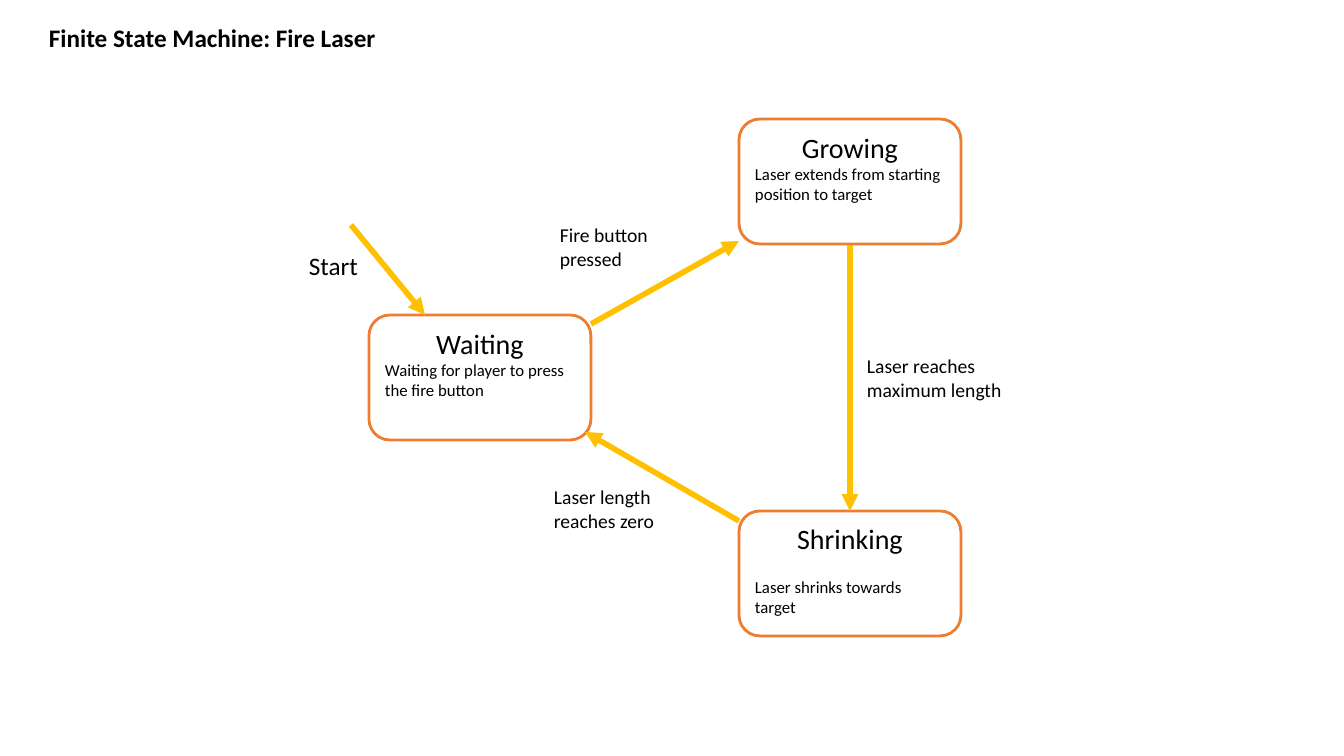
from pptx import Presentation
from pptx.dml.color import RGBColor
from pptx.enum.shapes import MSO_CONNECTOR, MSO_SHAPE
from pptx.enum.text import MSO_ANCHOR, MSO_AUTO_SIZE, PP_ALIGN
from pptx.oxml.ns import qn
from pptx.util import Emu, Pt
from lxml.etree import SubElement


class Theme:
    font = "Calibri"
    ink = RGBColor(0, 0, 0)
    paper = RGBColor(255, 255, 255)
    edge = RGBColor(0xED, 0x7D, 0x31)
    arrow = RGBColor(0xFF, 0xC0, 0x00)
    title, name, start, label, note = 18, 20, 18, 14, 12
    rim, stroke = 2, 4


# Content: states as name, note, column, row, gap above the note in points
STATES = [
    ("Waiting", "Waiting for player to press the fire button", 0, 1, 0),
    ("Growing", "Laser extends from starting position to target", 1, 0, 0),
    ("Shrinking", "Laser shrinks towards target", 1, 2, 15),
]
# Labels as lines, box, size, bold
LABELS = [
    (["Finite State Machine: Fire Laser"], (39, 17, 350, 40), Theme.title, True),
    (["Start"], (299, 245, 70, 40), Theme.start, False),
    (["Fire button", "pressed"], (550, 218, 110, 57), Theme.label, False),
    (["Laser reaches", "maximum length"], (857, 349, 156, 57), Theme.label, False),
    (["Laser length", "reaches zero"], (544, 480, 122, 57), Theme.label, False),
]
# Arrows as start point, end point
ARROWS = [
    ((351, 225), (425, 315)),
    ((591, 324), (739, 241)),
    ((850, 245), (850, 511)),
    ((739, 521), (585, 432)),
]
WIDE, HIGH = 222, 125
LEFT, TOP = 369, 119
ACROSS, DOWN = 370, 196
SCALE = 914400 / 100.8


def px(*nums):
    return [Emu(round(n * SCALE)) for n in nums]


def write(para, text, size, bold=False, align=PP_ALIGN.LEFT, gap=0):
    para.alignment = align
    para.space_before = Pt(gap)
    run = para.add_run()
    run.text = text
    run.font.name = Theme.font
    run.font.size = Pt(size)
    run.font.bold = bold
    run.font.color.rgb = Theme.ink


deck = Presentation()
deck.slide_width, deck.slide_height = px(1344, 756)
shapes = deck.slides.add_slide(deck.slide_layouts[6]).shapes

# States
for name, note, col, row, gap in STATES:
    spot = px(LEFT + col * ACROSS, TOP + row * DOWN, WIDE, HIGH)
    box = shapes.add_shape(MSO_SHAPE.ROUNDED_RECTANGLE, *spot)
    box.shadow.inherit = False
    box.fill.solid()
    box.fill.fore_color.rgb = Theme.paper
    box.line.color.rgb = Theme.edge
    box.line.width = Pt(Theme.rim)
    frame = box.text_frame
    frame.word_wrap = True
    frame.vertical_anchor = MSO_ANCHOR.TOP
    write(frame.paragraphs[0], name, Theme.name, align=PP_ALIGN.CENTER)
    write(frame.add_paragraph(), note, Theme.note, gap=gap)

# Arrows
for start, end in ARROWS:
    link = shapes.add_connector(MSO_CONNECTOR.STRAIGHT, *px(*start, *end))
    link.line.color.rgb = Theme.arrow
    link.line.width = Pt(Theme.stroke)
    SubElement(link.line._get_or_add_ln(), qn("a:tailEnd"), type="triangle")
    SubElement(link._element.spPr, qn("a:effectLst"))

# Title and labels
for lines, spot, size, bold in LABELS:
    frame = shapes.add_textbox(*px(*spot)).text_frame
    frame.word_wrap = False
    frame.auto_size = MSO_AUTO_SIZE.SHAPE_TO_FIT_TEXT
    for i, line in enumerate(lines):
        para = frame.add_paragraph() if i else frame.paragraphs[0]
        write(para, line, size, bold=bold)

deck.save("out.pptx")
